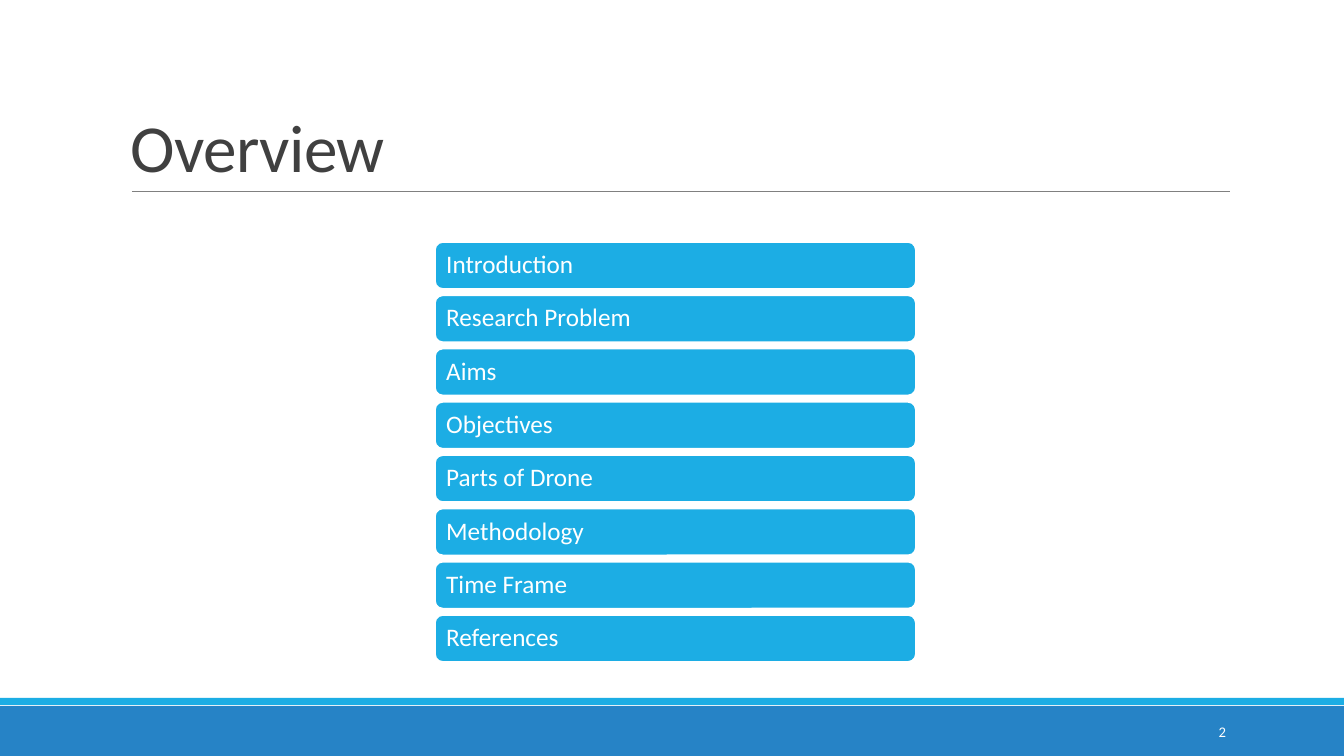
from pptx import Presentation
from pptx.dml.color import RGBColor
from pptx.enum.shapes import MSO_CONNECTOR as CONNECTOR, MSO_SHAPE as SHAPE
from pptx.enum.text import MSO_ANCHOR as ANCHOR, PP_ALIGN as ALIGN
from pptx.oxml.ns import qn
from pptx.util import Pt
from lxml import etree

PX = 914400 / 100.8  # EMU in one px
WHITE, BLUE, DARK_BLUE = "FFFFFF", "1CADE4", "2683C6"
TOPICS = ["Introduction", "Research Problem", "Aims", "Objectives",
          "Parts of Drone", "Methodology", "Time Frame", "References"]
FIRST_TOP, LAST_TOP = 242, 615


def px(*lengths):
    return [round(length * PX) for length in lengths]


def color(value):
    return RGBColor.from_string(value)


def set_text(box, text, size, ink, inset=(10, 5), spacing=1.0,
             anchor=ANCHOR.MIDDLE, align=ALIGN.LEFT):
    frame = box.text_frame
    side, edge = px(*inset)
    layout = {"word_wrap": True, "vertical_anchor": anchor,
              "margin_left": side, "margin_right": side,
              "margin_top": edge, "margin_bottom": edge}
    for name, value in layout.items():
        setattr(frame, name, value)
    para = frame.paragraphs[0]
    para.alignment, para.line_spacing = align, spacing
    span = para.add_run()
    span.text = text
    for name, value in {"name": "Calibri", "size": Pt(size), "bold": False}.items():
        setattr(span.font, name, value)
    span.font.color.rgb = color(ink)
    return span


def add_block(page, kind, bounds, fill, outline=None):
    block = page.shapes.add_shape(kind, *px(*bounds))
    block.shadow.inherit = False
    block.fill.solid()
    block.fill.fore_color.rgb = color(fill)
    if outline:
        block.line.color.rgb = color(outline)
        block.line.width = Pt(1.25)
    else:
        block.line.fill.background()
    return block


def add_rule(page, left, right, top):
    rule = page.shapes.add_connector(CONNECTOR.STRAIGHT, *px(left, top, right, top))
    rule.line.color.rgb = color("808080")
    rule.line.width = Pt(0.5)
    etree.SubElement(rule._element.spPr, qn("a:effectLst"))


def add_title(page, text):
    title = page.shapes.title
    title.left, title.top, title.width, title.height = px(121, 31, 1109, 160)
    span = set_text(title, text, 48, "404040", spacing=0.85, anchor=ANCHOR.BOTTOM)
    span.font._element.set("spc", "-50")


def add_topics(page):
    step = (LAST_TOP - FIRST_TOP) / (len(TOPICS) - 1)
    for index, topic in enumerate(TOPICS):
        bounds = (435, FIRST_TOP + index * step, 481, 47)
        block = add_block(page, SHAPE.ROUNDED_RECTANGLE, bounds, BLUE, WHITE)
        set_text(block, topic, 18, WHITE, inset=(9, 9), spacing=0.9)


def main():
    deck = Presentation()
    deck.slide_width, deck.slide_height = px(1344, 756)
    page = deck.slides.add_slide(deck.slide_layouts[5])

    # Footer bands and title rule
    add_block(page, SHAPE.RECTANGLE, (0, 706, 1344, 50), DARK_BLUE)
    add_block(page, SHAPE.RECTANGLE, (0, 698, 1344, 7), BLUE)
    add_rule(page, 132, 1230, 191)

    # Title and topic list
    add_title(page, "Overview")
    add_topics(page)

    # Page number
    number = page.shapes.add_textbox(*px(1092, 712, 144, 40))
    set_text(number, "2", 10.5, WHITE, align=ALIGN.RIGHT)

    deck.save("out.pptx")


if __name__ == "__main__":
    main()
